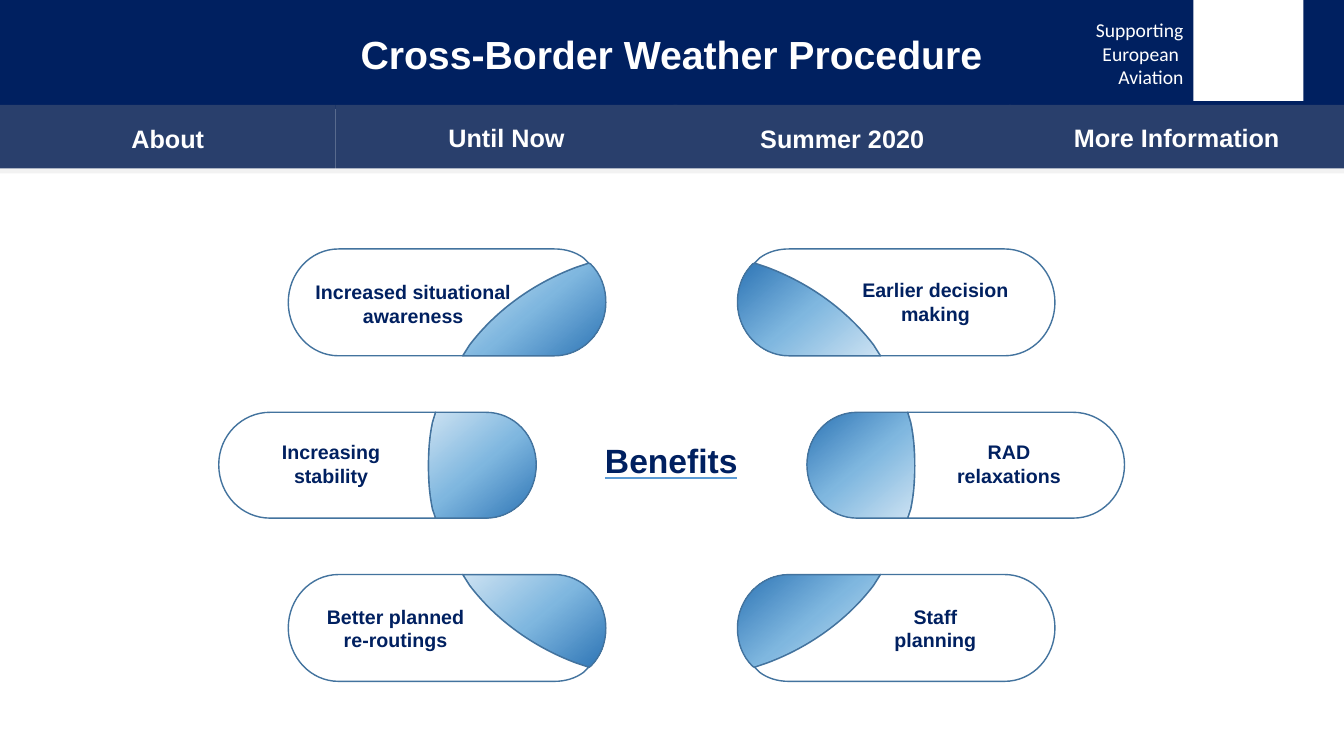
import copy

import pptx
import pptx.dml.color
import pptx.enum.shapes
import pptx.enum.text
import pptx.oxml
import pptx.oxml.ns
import pptx.util

COLUMNS, ROWS = 400 / 3, 75
COLORS = {
    "navy": "002060", "tab": "293F6C", "white": "FFFFFF", "strip": "F2F2F2",
    "outline": "43739E", "underline": "5B9BD5",
    "light": "CCE2F2", "middle": "7FB7DF", "dark": "2E75B6",
}
ALIGN = pptx.enum.text.PP_ALIGN

# Outlines of the upper left and middle left pills, in columns and rows:
# a pair is a corner, six numbers are a curve (two handles and an end)
CORNER_CAP = [
    (58.4, 26.1), (58.6, 26.2), (59.6, 27.2, 60.1, 28.5, 60.1, 30),
    (60.1, 32.9, 57.8, 35.3, 55, 35.3), (45.9, 35.3), (46.6, 34.2),
    (49.2, 30.8, 52.9, 28.1, 57.2, 26.5),
]
CORNER_BODY = [
    (33.6, 24.7), (55, 24.7), (56.1, 24.7, 57.1, 25, 57.9, 25.6),
    (58.4, 26.1), (57.2, 26.5), (52.9, 28.1, 49.2, 30.8, 46.6, 34.2),
    (45.9, 35.3), (33.6, 35.3), (30.8, 35.3, 28.6, 32.9, 28.6, 30),
    (28.6, 27.1, 30.8, 24.7, 33.6, 24.7),
]
MIDDLE_CAP = [
    (43.2, 40.9), (48.2, 40.9), (51, 40.9, 53.2, 43.2, 53.2, 46.1),
    (53.2, 49.1, 51, 51.4, 48.2, 51.4), (43.2, 51.4), (42.9, 50.5),
    (42.6, 49.1, 42.5, 47.7, 42.5, 46.2),
    (42.5, 44.7, 42.6, 43.3, 42.9, 41.9),
]
MIDDLE_BODY = [
    (26.8, 40.9), (43.2, 40.9), (42.9, 41.9),
    (42.6, 43.3, 42.5, 44.7, 42.5, 46.2),
    (42.5, 47.7, 42.6, 49.1, 42.9, 50.5), (43.2, 51.4), (26.8, 51.4),
    (24, 51.4, 21.7, 49.1, 21.7, 46.1), (21.7, 43.2, 24, 40.9, 26.8, 40.9),
]
MIRROR_COLUMN, MIRROR_ROW = 66.63, 46.15


def write_text(frame, text, size=14, color="navy", font="Arial", bold=True,
               align=ALIGN.CENTER, underline=None):
    """Put text into a frame; underline names the colour of the line."""
    frame.word_wrap = True
    para = frame.paragraphs[0]
    para.text = text
    para.alignment = align
    for span in para.runs:
        span.font.size = pptx.util.Pt(size)
        span.font.name = font
        span.font.bold = bold
        span.font.color.rgb = pptx.dml.color.RGBColor.from_string(COLORS[color])
        if underline:
            span.font.underline = True
            solid = span.font._element.find(pptx.oxml.ns.qn("a:solidFill"))
            solid.addnext(pptx.oxml.parse_xml(
                f'<a:uFill {pptx.oxml.ns.nsdecls("a")}><a:solidFill>'
                f'<a:srgbClr val="{COLORS[underline]}"/></a:solidFill></a:uFill>'))


def bend(box, parts):
    """Join the three segments of every curve part into one cubic curve."""
    segments = iter(box._element.findall(".//" + pptx.oxml.ns.qn("a:lnTo")))
    for part in parts[1:]:
        first = next(segments)
        if len(part) == 2:
            continue
        curve = pptx.oxml.parse_xml(f'<a:cubicBezTo {pptx.oxml.ns.nsdecls("a")}/>')
        first.addprevious(curve)
        for segment in (first, next(segments), next(segments)):
            curve.append(segment[0])
            segment.getparent().remove(segment)


class Board:
    def __init__(self, deck):
        self.deck = deck
        self.page = deck.slides.add_slide(deck.slide_layouts[6])

    def across(self, columns):
        return round(self.deck.slide_width * columns / COLUMNS)

    def down(self, rows):
        return round(self.deck.slide_height * rows / ROWS)

    def place(self, left, top, width, height):
        return self.across(left), self.down(top), self.across(width), self.down(height)

    def color(self, name):
        return pptx.dml.color.RGBColor.from_string(COLORS[name])

    def bar(self, area, fill, text=None, **style):
        box = self.page.shapes.add_shape(
            pptx.enum.shapes.MSO_SHAPE.RECTANGLE, *self.place(*area))
        box.shadow.inherit = False
        box.fill.solid()
        box.fill.fore_color.rgb = self.color(fill)
        box.line.fill.background()
        if text:
            box.text_frame.vertical_anchor = pptx.enum.text.MSO_ANCHOR.MIDDLE
            write_text(box.text_frame, text, color="white", **style)

    def label(self, area, text, **style):
        box = self.page.shapes.add_textbox(*self.place(*area))
        write_text(box.text_frame, text, **style)
        box.text_frame.auto_size = pptx.enum.text.MSO_AUTO_SIZE.SHAPE_TO_FIT_TEXT

    def outline(self, parts, right, low, shaded):
        points = [(self.across(2 * MIRROR_COLUMN - x if right else x),
                   self.down(2 * MIRROR_ROW - y if low else y))
                  for part in parts for x, y in zip(part[::2], part[1::2])]
        builder = self.page.shapes.build_freeform(*points[0])
        builder.add_line_segments(points[1:], close=True)
        box = builder.convert_to_shape()
        bend(box, parts)
        box.shadow.inherit = False
        box.line.color.rgb = self.color("outline")
        box.line.width = pptx.util.Pt(1)
        if shaded:
            self.shade(box, 130 if right else 310)
        else:
            box.fill.solid()
            box.fill.fore_color.rgb = self.color("white")

    def shade(self, box, angle):
        box.fill.gradient()
        box.fill.gradient_angle = angle
        first = next(box._element.spPr.iter(pptx.oxml.ns.qn("a:gs")))
        first.addnext(copy.deepcopy(first))
        shades = ((0, "light"), (0.5, "middle"), (1, "dark"))
        for stop, (position, name) in zip(box.fill.gradient_stops, shades):
            stop.position = position
            stop.color.rgb = self.color(name)


def main():
    deck = pptx.Presentation()
    deck.slide_width = pptx.util.Inches(40 / 3)
    deck.slide_height = pptx.util.Inches(7.5)
    board = Board(deck)

    # Header with a plain emblem
    board.bar((-0.2, -0.1, 133.6, 10.9), "navy", "Cross-Border Weather Procedure", size=28)
    board.bar((118.4, -1.1, 10.9, 11.1), "white")
    board.label((102.7, 1.3, 15.7, 8.1), "Supporting European \vAviation",
                color="white", font="Calibri", bold=False, align=ALIGN.RIGHT)

    # Navigation tabs
    for left, width, height, name in (
            (0, 33.3, 6.6, "About"),
            (66.8, 33.5, 6.6, "Summer 2020"),
            (33.3, 33.9, 6.4, "Until Now"),
            (100.1, 33.3, 6.5, "More Information")):
        board.bar((left, 10.4, width, height), "tab", name, size=18)
    board.bar((-0.1, 16.7, 133.9, 0.5), "strip")

    # Pills: all shaded caps, then all white bodies
    for corner, middle, shaded in ((CORNER_CAP, MIDDLE_CAP, True),
                                   (CORNER_BODY, MIDDLE_BODY, False)):
        for parts, low in ((corner, False), (middle, False), (corner, True)):
            for right in (False, True):
                board.outline(parts, right, low, shaded)

    # Benefit labels
    for left, top, width, text in (
            (27.5, 27.3, 27, "Increased situational awareness"),
            (81.7, 27.1, 22.2, "Earlier decision making"),
            (23.4, 43.2, 18.9, "Increasing stability"),
            (93, 43.2, 14.2, "RAD relaxations"),
            (30.6, 59.5, 17.3, "Better planned re-routings"),
            (85.4, 59.5, 14.8, "Staff planning")):
        board.label((left, top, width, 5.7), text)
    board.label((56.3, 43.2, 20.6, 5), "Benefits", size=24, underline="underline")

    deck.save("out.pptx")


if __name__ == "__main__":
    main()
